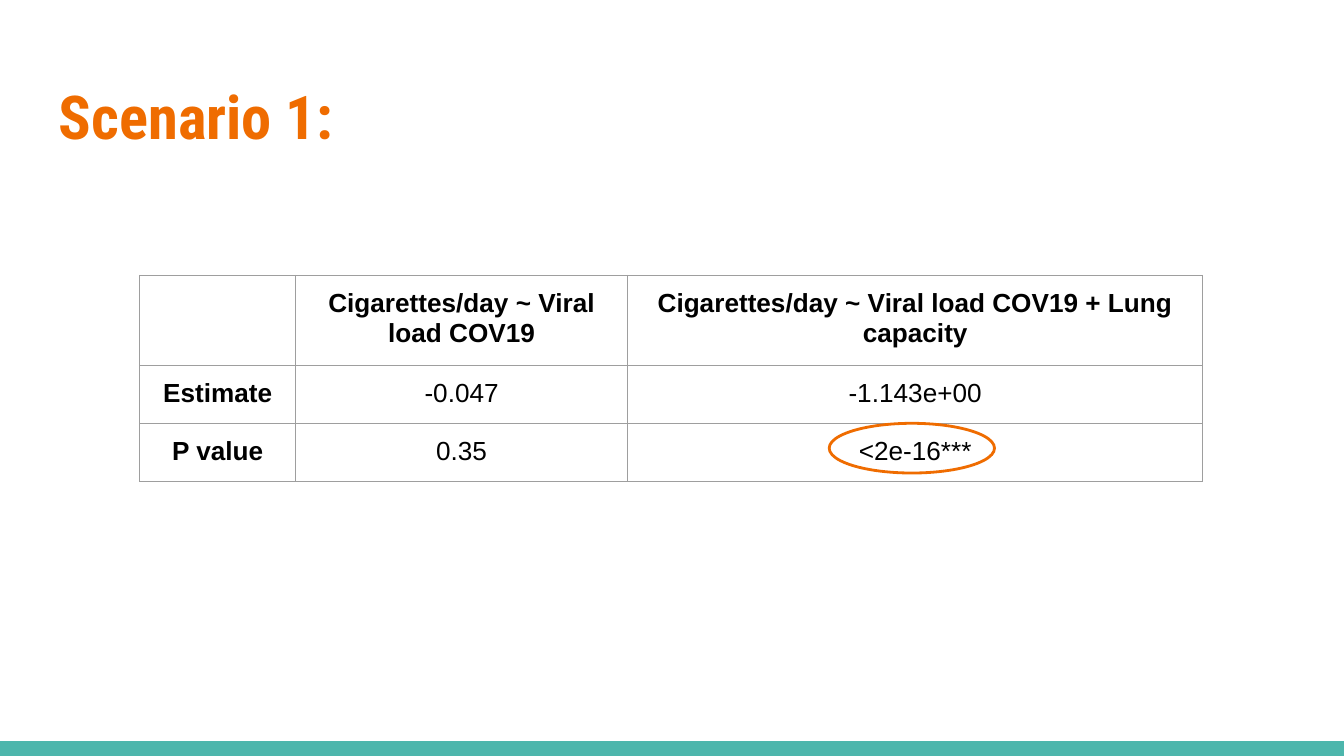
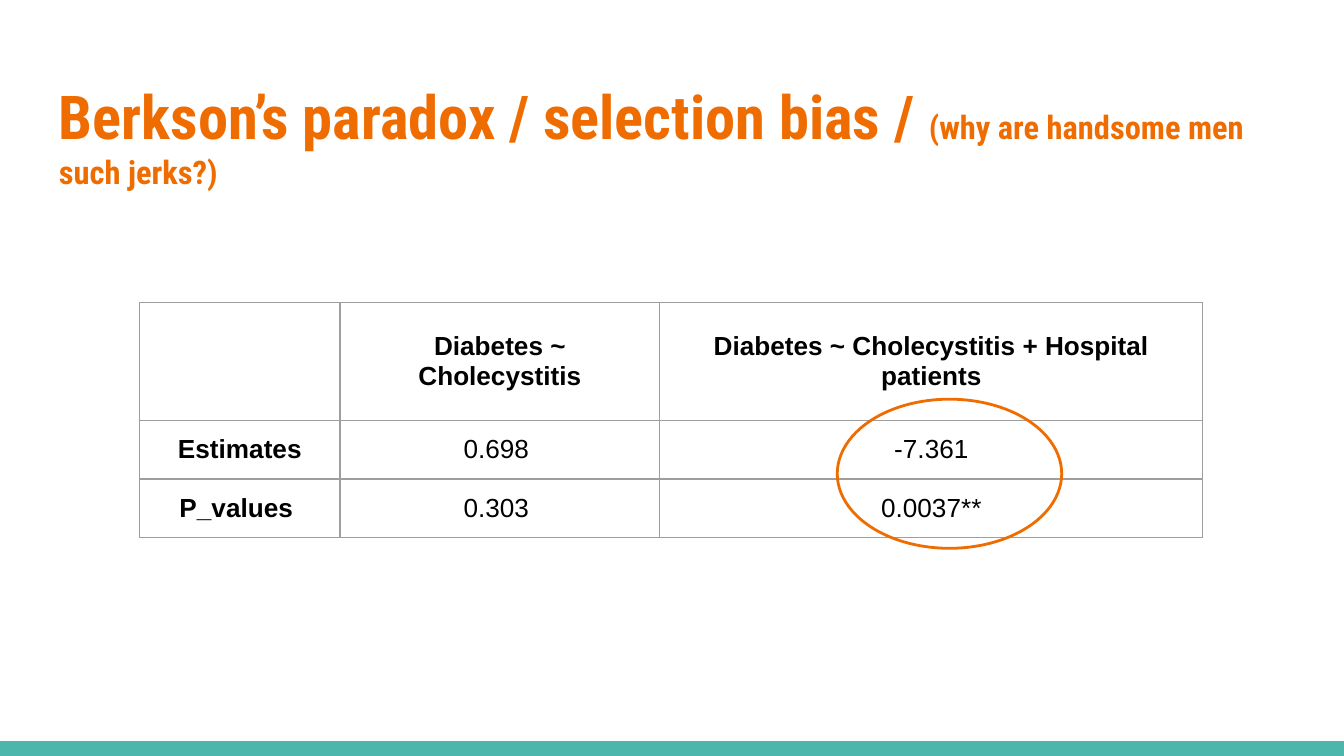
from lxml import etree
from pptx import Presentation
from pptx.dml.color import RGBColor
from pptx.enum import shapes, text
from pptx.oxml import ns
from pptx.util import Inches, Pt

ORANGE = RGBColor(0xEF, 0x6C, 0x00)
TEAL = RGBColor(0x4D, 0xB6, 0xAC)
GREY = RGBColor(0x9E, 0x9E, 0x9E)
BLACK = RGBColor(0x00, 0x00, 0x00)
WHITE = RGBColor(0xFF, 0xFF, 0xFF)
TITLE_FONT, TABLE_FONT = "Roboto Condensed", "Arial"
WIDTH, HEIGHT = Inches(10), Inches(5.625)
TABLE_LEFT = Inches(1.04)
PADDING = Inches(0.1)

SCENARIOS = [
    {
        "title": [("Scenario 1:", 32.4)],
        "top": 2.05,
        "columns": [1.16, 2.47, 4.28],
        "rows": [0.42, 0.42, 0.42],
        "anchor": text.MSO_ANCHOR.TOP,
        "cells": [
            ["", "Cigarettes/day ~ Viral load COV19",
             "Cigarettes/day ~ Viral load COV19 + Lung capacity"],
            ["Estimate", "-0.047", "-1.143e+00"],
            ["P value", "0.35", "<2e-16***"],
        ],
        "highlight": (6.17, 3.15, 1.23, 0.37),
    },
    {
        "title": [("Berkson’s paradox / selection bias / ", 32.4),
                  ("(why are handsome men such jerks?)", 17.4)],
        "top": 2.25,
        "columns": [1.49, 2.38, 4.04],
        "rows": [0.88, 0.32, 0.32],
        "anchor": text.MSO_ANCHOR.MIDDLE,
        "cells": [
            ["", "Diabetes ~ Cholecystitis",
             "Diabetes ~ Cholecystitis + Hospital patients"],
            ["Estimates", "0.698 ", "-7.361"],
            ["P_values ", "0.303 ", "0.0037**"],
        ],
        "highlight": (6.23, 2.97, 1.67, 1.11),
    },
]


def write(frame, runs, padded, font=TABLE_FONT, color=BLACK, bold=False,
          align=text.PP_ALIGN.LEFT):
    """Fill a frame with (words, size) runs; padded is what holds its margins."""
    padded.margin_left = padded.margin_right = PADDING
    padded.margin_top = padded.margin_bottom = PADDING
    paragraph = frame.paragraphs[0]
    paragraph.alignment = align
    for words, size in runs:
        run = paragraph.add_run()
        run.text = words
        run.font.name = font
        run.font.size = Pt(size)
        run.font.bold = bold
        run.font.color.rgb = color


def style_cell(cell):
    """Clear the fill and draw a thin grey border on all four sides."""
    cell.fill.background()
    properties = cell._tc.get_or_add_tcPr()
    for position, side in enumerate(("lnL", "lnR", "lnT", "lnB")):
        border = etree.Element(ns.qn(f"a:{side}"), w=str(Pt(0.75)))
        fill = etree.SubElement(border, ns.qn("a:solidFill"))
        etree.SubElement(fill, ns.qn("a:srgbClr"), val=str(GREY))
        properties.insert(position, border)


prs = Presentation()
prs.slide_width, prs.slide_height = WIDTH, HEIGHT

for scenario in SCENARIOS:
    slide = prs.slides.add_slide(prs.slide_layouts[6])
    slide.background.fill.solid()
    slide.background.fill.fore_color.rgb = WHITE

    band_height = Inches(0.11)
    band = slide.shapes.add_shape(shapes.MSO_SHAPE.RECTANGLE, 0,
                                  HEIGHT - band_height, WIDTH, band_height)
    band.shadow.inherit = False
    band.fill.solid()
    band.fill.fore_color.rgb = TEAL
    band.line.fill.background()

    margin = Inches(0.34)
    title = slide.shapes.add_textbox(margin, Inches(0.49), WIDTH - 2 * margin,
                                     Inches(0.77)).text_frame
    title.word_wrap = True
    write(title, scenario["title"], title, font=TITLE_FONT, color=ORANGE,
          bold=True)

    columns, rows = scenario["columns"], scenario["rows"]
    results = slide.shapes.add_table(
        len(rows), len(columns), TABLE_LEFT, Inches(scenario["top"]),
        Inches(sum(columns)), Inches(sum(rows))).table
    results.first_row = results.horz_banding = False
    for column, width in zip(results.columns, columns):
        column.width = Inches(width)
    for row, height in zip(results.rows, rows):
        row.height = Inches(height)
    for r, values in enumerate(scenario["cells"]):
        for c, value in enumerate(values):
            cell = results.cell(r, c)
            style_cell(cell)
            cell.vertical_anchor = scenario["anchor"]
            write(cell.text_frame, [(value, 14)] if value else [], cell,
                  bold=r == 0 or c == 0, align=text.PP_ALIGN.CENTER)

    highlight = slide.shapes.add_shape(
        shapes.MSO_SHAPE.OVAL, *map(Inches, scenario["highlight"]))
    highlight.shadow.inherit = False
    highlight.fill.background()
    highlight.line.color.rgb = ORANGE
    highlight.line.width = Pt(1.5)

prs.save("out.pptx")
